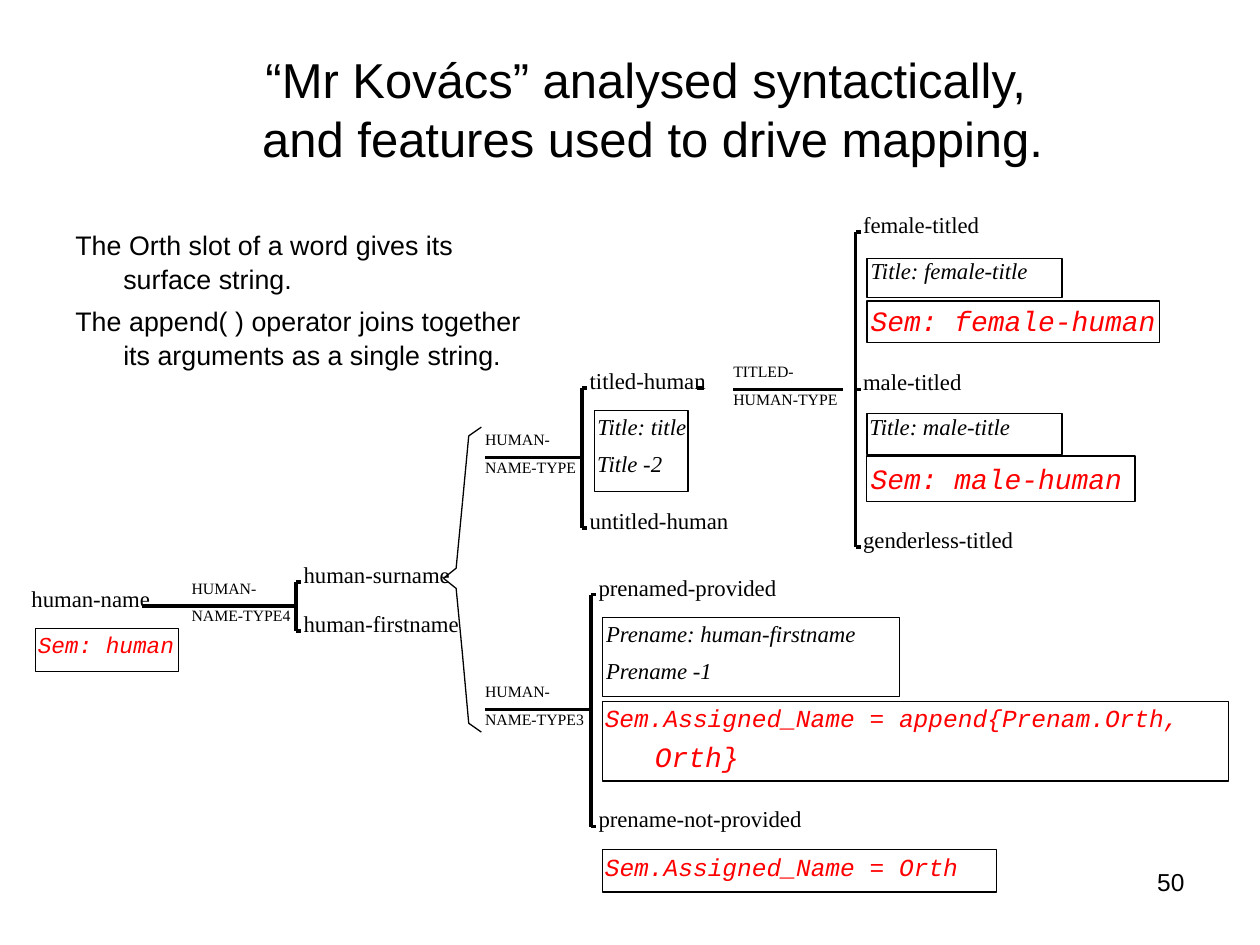
from lxml import etree
from pptx import Presentation
from pptx.dml.color import RGBColor
from pptx.enum.shapes import MSO_CONNECTOR, MSO_SHAPE
from pptx.enum.text import MSO_ANCHOR, MSO_AUTO_SIZE, PP_ALIGN
from pptx.oxml.ns import qn
from pptx.util import Inches, Pt

BLACK = RGBColor(0, 0, 0)
RED = RGBColor(255, 0, 0)
SANS, SERIF, MONO = "Arial", "Times New Roman", "Courier New"
LEFT, CENTER, RIGHT = PP_ALIGN.LEFT, PP_ALIGN.CENTER, PP_ALIGN.RIGHT
MIDDLE = MSO_ANCHOR.MIDDLE
NO_FIT = MSO_AUTO_SIZE.NONE
STRAIGHT = MSO_CONNECTOR.STRAIGHT
RECT = MSO_SHAPE.RECTANGLE
TICK = 0.04
STEP = 0.29


def write(frame, paras, size=13, font=SERIF, color=BLACK, italic=False,
          align=LEFT, wrap=False, inset=(0, 0), hang=0, gap=0, lead=None):
    frame.word_wrap = wrap
    frame.auto_size = NO_FIT
    frame.margin_left = frame.margin_right = Inches(inset[0])
    frame.margin_top = frame.margin_bottom = Inches(inset[1])
    for i, text in enumerate(paras):
        para = frame.add_paragraph() if i else frame.paragraphs[0]
        para.text = text
        para.alignment = align
        para.line_spacing = lead
        if hang:
            props = para._p.get_or_add_pPr()
            props.set("marL", str(Inches(hang)))
            props.set("indent", str(-Inches(hang)))
        if gap and i:
            para.space_before = Pt(gap)
        for run in para.runs:
            face = run.font
            face.size, face.name, face.italic = Pt(size), font, italic
            face.color.rgb = color


def place(slide, box, paras, **form):
    shape = slide.shapes.add_textbox(*map(Inches, box))
    write(shape.text_frame, paras, **form)


def label(slide, x, y, width, text, size=13, **form):
    """One line of text, as tall as its type."""
    place(slide, (x, y, width, size * 1.2 / 72), [text], size=size, **form)


def rule(slide, x1, y1, x2, y2):
    line = slide.shapes.add_connector(STRAIGHT, *map(Inches, (x1, y1, x2, y2)))
    line.line.color.rgb = BLACK
    line.line.width = Pt(0)
    etree.SubElement(line._element.spPr, qn("a:effectLst"))


def outline(shape):
    shape.fill.background()
    shape.line.color.rgb = BLACK
    shape.line.width = Pt(0)
    shape.shadow.inherit = False


def system(slide, x, y, width, upper, lower):
    """A named choice: two words around a line; each is (text, width)."""
    for (text, wide), top in ((upper, y - 0.22), (lower, y)):
        label(slide, x, top, wide, text, size=9)
    rule(slide, x, y, x + width, y)


def branch(slide, x, options):
    """A square bracket with one tick and label per (y, width, text)."""
    rule(slide, x, options[0][0], x, options[-1][0])
    for y, width, text in options:
        rule(slide, x + TICK, y, x, y)
        label(slide, x + 0.06, y - 0.17, width, text)


def feature(slide, box, lines, dx=0.03, dy=0.02, **form):
    """A framed set of features; each line is (text, width, size)."""
    x, y = box[:2]
    outline(slide.shapes.add_shape(RECT, *map(Inches, box)))
    for i, (text, width, size) in enumerate(lines):
        label(slide, x + dx, y + dy + i * STEP, width, text,
              size=size, italic=True, **form)


def meaning(slide, box, lines, **form):
    feature(slide, box, lines, font=MONO, color=RED, **form)


def brace(slide, x, heights):
    """Half a curly brace, from its point out to its end."""
    points = [(Inches(x + dx), Inches(y))
              for dx, y in zip((0, 0.1, 0.15, 0.2, 0.3), heights)]
    for start in (0, 2):
        first, *rest = points[start:start + 3]
        path = slide.shapes.build_freeform(*first)
        path.add_line_segments(rest, close=False)
        outline(path.convert_to_shape())


def heading(slide, box):
    title = slide.shapes.title
    title.left, title.top, title.width, title.height = map(Inches, box)
    write(title.text_frame,
          ["“Mr Kovács” analysed syntactically,\v"
           " and features used to drive mapping."],
          size=28, font=SANS, align=CENTER, wrap=True, inset=(0.1, 0.05))
    title.text_frame.vertical_anchor = MIDDLE
    title.text_frame.margin_bottom = Inches(0.5)


def notes(slide, box):
    place(slide, box,
          ["The Orth slot of a word gives its surface string.",
           "The append( ) operator joins together its arguments"
           " as a single string."],
          size=15.3, font=SANS, wrap=True, inset=(0.1, 0.05),
          hang=0.38, gap=4.5, lead=1.06)


def root(slide, x, y):
    label(slide, x, y - 0.17, 0.94, "human-name")
    meaning(slide, (x + 0.03, y + 0.18, 1.14, 0.34),
            [("Sem: human", 1.08, 13)], dx=0.02)
    rule(slide, x + 0.88, y, x + 1.27, y)
    system(slide, x + 1.27, y, 0.83, ("HUMAN-", 0.51), ("NAME-TYPE4", 0.79))
    branch(slide, x + 2.1, [(y - 0.19, 1.16, "human-surname"),
                            (y + 0.2, 1.23, "human-firstname")])


def titled(slide, x, y):
    system(slide, x, y, 0.77, ("HUMAN-", 0.51), ("NAME-TYPE", 0.72))
    branch(slide, x + 0.77, [(y - 0.55, 0.92, "titled-human"),
                             (y + 0.56, 1.1, "untitled-human")])
    feature(slide, (x + 0.87, y - 0.37, 0.74, 0.64),
            [("Title: title", 0.72, 13), ("Title -2", 0.53, 13)], dx=0.02)
    rule(slide, x + 1.68, y - 0.55, x + 1.74, y - 0.55)


def gender(slide, x, y):
    system(slide, x, y, 0.87, ("TITLED-", 0.48), ("HUMAN-TYPE", 0.83))
    branch(slide, x + 0.97, [(y - 1.25, 0.92, "female-titled"),
                             (y, 0.78, "male-titled"),
                             (y + 1.25, 1.19, "genderless-titled")])
    left = x + 1.06
    feature(slide, (left, y - 1.04, 1.55, 0.31),
            [("Title: female-title", 1.26, 13)], dy=-0.01)
    meaning(slide, (left, y - 0.7, 2.32, 0.33),
            [("Sem: female-human", 2.26, 16)])
    feature(slide, (left, y + 0.19, 1.55, 0.33),
            [("Title: male-title", 1.62, 13)], dx=0.02, dy=0)
    meaning(slide, (left, y + 0.53, 2.13, 0.36),
            [("Sem: male-human", 2, 16)], dy=0.04)


def prename(slide, x, y):
    system(slide, x, y, 0.84, ("HUMAN-", 0.51), ("NAME-TYPE3", 0.79))
    branch(slide, x + 0.84, [(y - 0.91, 1.41, "prenamed-provided"),
                             (y + 0.93, 1.61, "prename-not-provided")])
    left = x + 0.93
    feature(slide, (left, y - 0.73, 2.36, 0.63),
            [("Prename: human-firstname", 1.99, 13), ("Prename -1", 0.85, 13)])
    meaning(slide, (left, y - 0.06, 4.97, 0.63),
            [("Sem.Assigned_Name = append{Prenam.Orth,", 4.56, 14),
             ("   Orth}", 1.06, 16)], dx=0.02, dy=0.01)
    meaning(slide, (left, y + 1.11, 3.13, 0.34),
            [("Sem.Assigned_Name = Orth", 2.81, 14)], dx=0.02)


def main():
    deck = Presentation()
    deck.slide_width, deck.slide_height = Inches(10), Inches(7.5)
    slide = deck.slides.add_slide(deck.slide_layouts[5])
    heading(slide, (0.5, 0.67, 9.25, 0.83))
    notes(slide, (0.5, 1.75, 3.82, 1.48))
    root(slide, 0.25, 4.81)
    for heights in ((4.59, 4.51, 3.99, 3.46, 3.39),
                    (4.59, 4.67, 5.19, 5.74, 5.81)):
        brace(slide, 3.52, heights)
    titled(slide, 3.85, 3.63)
    gender(slide, 5.82, 3.09)
    prename(slide, 3.85, 5.63)
    place(slide, (7.17, 6.83, 2.33, 0.52), ["50"], size=14, font=SANS,
          align=RIGHT, wrap=True, inset=(0.1, 0.05))
    deck.save("out.pptx")


if __name__ == "__main__":
    main()
